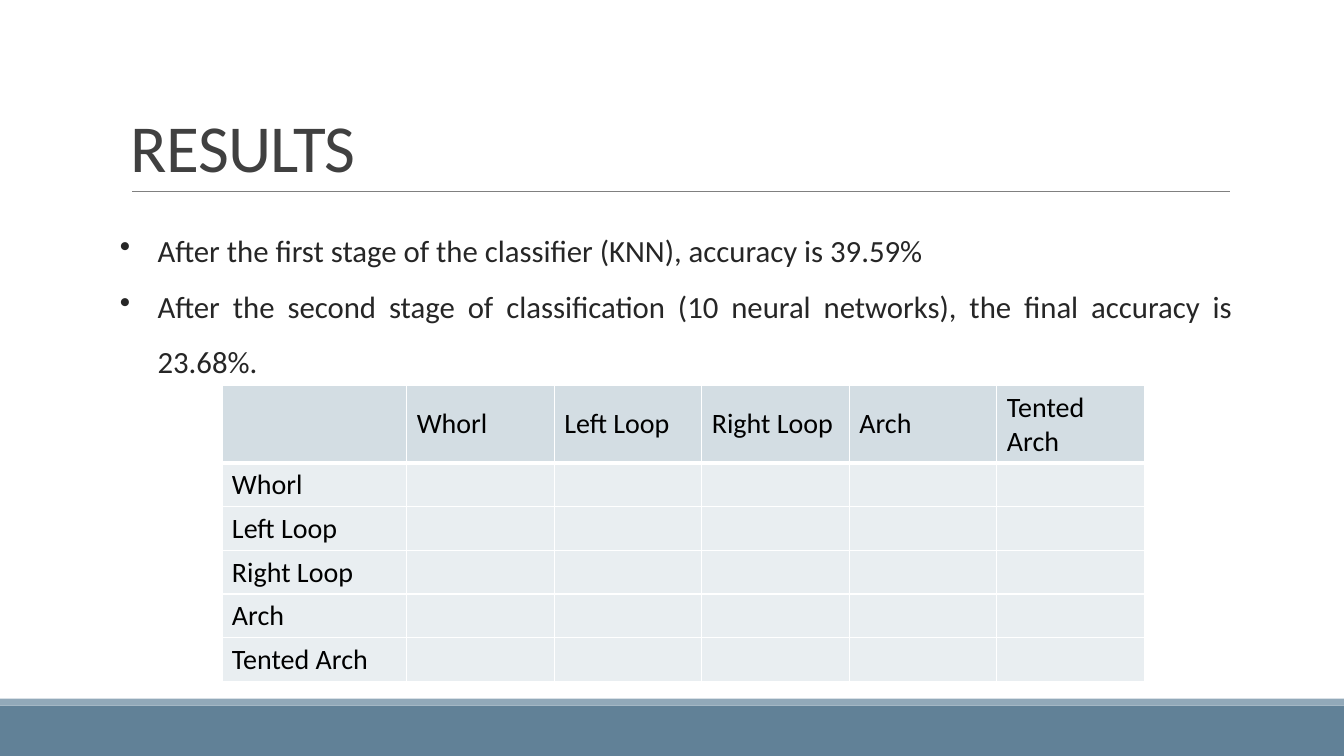
import pptx
import pptx.util
import pptx.dml.color
import pptx.enum.shapes
import pptx.enum.text
import pptx.oxml
import pptx.oxml.ns
import lxml.etree

Pt = pptx.util.Pt
FONT = "Calibri"
KINDS = ["Whorl", "Left Loop", "Right Loop", "Arch", "Tented Arch"]
POINTS = [
    "After the first stage of the classifier (KNN), accuracy is 39.59%",
    "After the second stage of classification (10 neural networks), "
    "the final accuracy is 23.68%.",
]


def tint(code):
    """Return the colour for a hex string."""
    return pptx.dml.color.RGBColor.from_string(code)


def child(parent, tag, **attrs):
    """Append a drawing element and return it."""
    return lxml.etree.SubElement(parent, pptx.oxml.ns.qn(tag), attrs)


def style(para, size, color):
    """Set the font of a paragraph."""
    para.font.name = FONT
    para.font.size = Pt(size)
    para.font.color.rgb = tint(color)


def frame(slide, left, top, width, height):
    """Add a wrapping text box and return its text frame."""
    box = slide.shapes.add_textbox(Pt(left), Pt(top), Pt(width), Pt(height))
    box.text_frame.word_wrap = True
    return box.text_frame


def footer(slide, left, top, width, height):
    """Draw the base band with its thin strip on top."""
    strip = 5
    bands = [(top + strip, height - strip, "618197"), (top, strip, "92A9B9")]
    for y, tall, color in bands:
        band = slide.shapes.add_shape(
            pptx.enum.shapes.MSO_SHAPE.RECTANGLE,
            Pt(left), Pt(y), Pt(width), Pt(tall))
        band.shadow.inherit = False
        band.fill.solid()
        band.fill.fore_color.rgb = tint(color)
        band.line.fill.background()


def header(slide, left, top, width, height):
    """Write the title above its rule."""
    base = top + height
    rule = slide.shapes.add_connector(
        pptx.enum.shapes.MSO_CONNECTOR.STRAIGHT,
        Pt(left + 8), Pt(base), Pt(left + width), Pt(base))
    rule.line.color.rgb = tint("808080")
    rule.line.width = Pt(0.5)
    child(rule.element.spPr, "a:effectLst")
    text = frame(slide, left, top, width, height)
    text.vertical_anchor = pptx.enum.text.MSO_ANCHOR.BOTTOM
    para = text.paragraphs[0]
    run = para.add_run()
    run.text = "RESULTS"
    run.font._element.set("spc", "-50")
    para.line_spacing = 0.85
    style(para, 48, "404040")


def body(slide, left, top, width, height):
    """Write the bulleted findings."""
    text = frame(slide, left, top, width, height)
    text.text = "\n".join(POINTS)
    for para in text.paragraphs:
        para.alignment = pptx.enum.text.PP_ALIGN.JUSTIFY
        para.line_spacing = 1.5
        style(para, 22, "262626")
        props = para._p.get_or_add_pPr()
        props.set("marL", str(Pt(27)))
        props.set("indent", str(Pt(-27)))
        bullet = pptx.oxml.parse_xml(
            '<a:buChar %s char="•"/>' % pptx.oxml.ns.nsdecls("a"))
        props.find(pptx.oxml.ns.qn("a:defRPr")).addprevious(bullet)


def border(cell, sides):
    """Draw white cell edges of the given widths."""
    props = cell._tc.get_or_add_tcPr()
    for side, width in sides.items():
        edge = child(props, "a:ln" + side, w=str(Pt(width)))
        child(child(edge, "a:solidFill"), "a:srgbClr", val="FFFFFF")


def matrix(slide, left, top, width, height):
    """Draw the empty class-by-class table."""
    count = len(KINDS) + 1
    table = slide.shapes.add_table(
        count, count, Pt(left), Pt(top), Pt(width), Pt(height)).table
    first, head = 132, 54.6
    for i in range(count):
        table.columns[i].width = Pt((width - first) / len(KINDS) if i else first)
        table.rows[i].height = Pt((height - head) / len(KINDS) if i else head)
    for row in range(count):
        for col in range(count):
            cell = table.cell(row, col)
            border(cell, {"L": 1, "R": 1, "T": 3 if row == 1 else 1,
                          "B": 1 if row else 3})
            cell.fill.solid()
            cell.fill.fore_color.rgb = tint("E9EEF1" if row else "D3DDE3")
            cell.vertical_anchor = pptx.enum.text.MSO_ANCHOR.MIDDLE
            if (row == 0) != (col == 0):
                cell.text = KINDS[row + col - 1]
                para = cell.text_frame.paragraphs[0]
                style(para, 20, "000000")
                para.font.bold = False


def main():
    """Build the slide and save it."""
    deck = pptx.Presentation()
    deck.slide_width, deck.slide_height = Pt(960), Pt(540)
    slide = deck.slides.add_slide(deck.slide_layouts[6])
    footer(slide, 0, 499, 960, 41)
    header(slide, 86.4, 22.5, 792, 114.3)
    body(slide, 78.5, 149, 809, 123)
    matrix(slide, 158.5, 275.3, 659, 211)
    deck.save("out.pptx")


if __name__ == "__main__":
    main()
